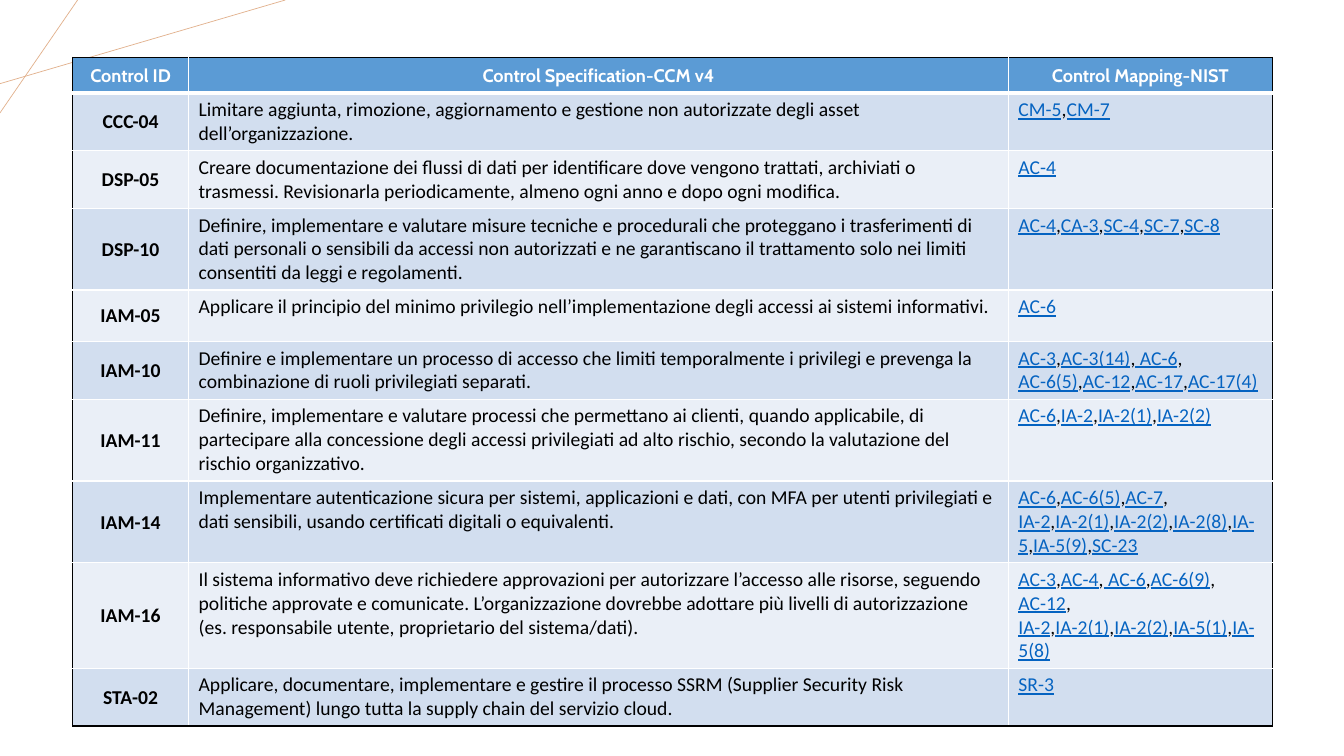
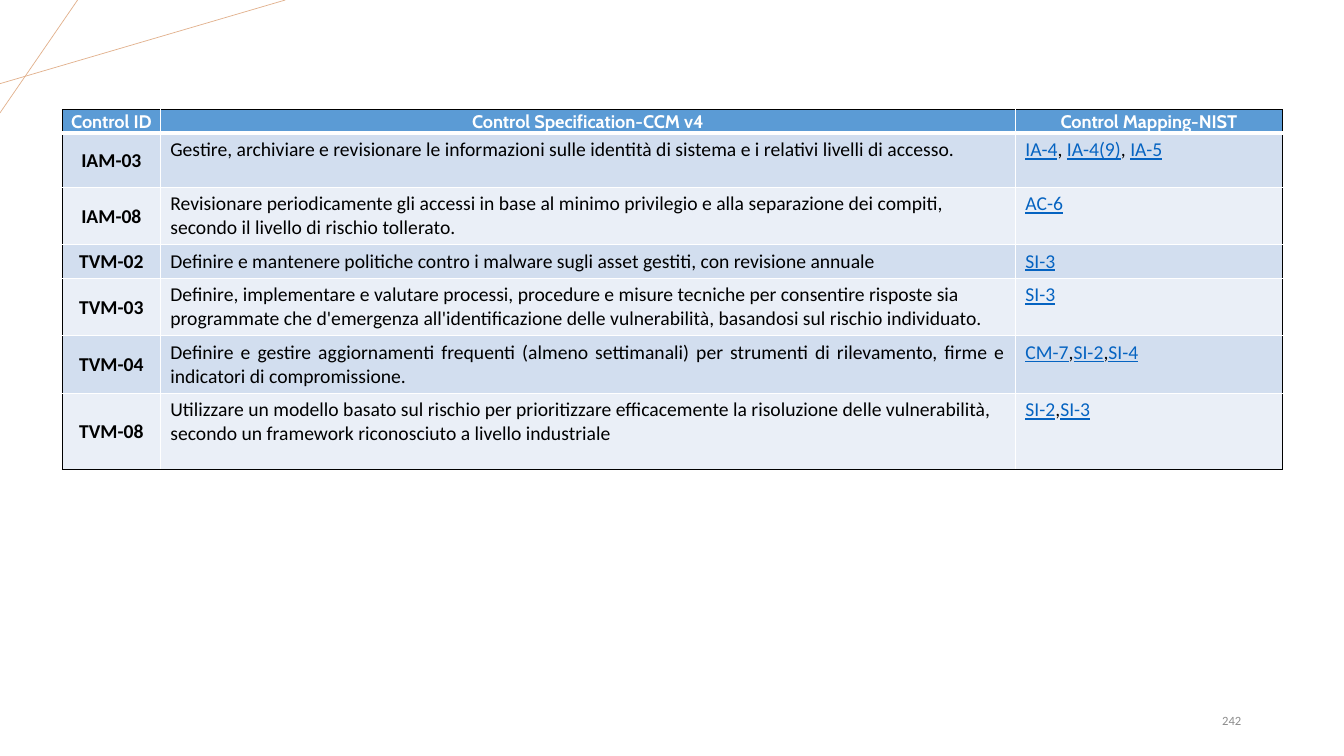
from dataclasses import dataclass
from typing import Any, Optional

from lxml import etree
from pptx import Presentation
from pptx.dml.color import RGBColor
from pptx.enum import shapes, text
from pptx.oxml import ns
from pptx.util import Inches, Pt

COLORS = {
    "header": "5B9BD5", "band_dark": "D2DEEF", "band_light": "EAEFF7",
    "white": "FFFFFF", "black": "000000", "link": "0563C1",
    "accent": "E2B18D", "number": "8C8C8C",
}
HEADINGS = ("Control ID", "Control Specification-CCM v4", "Control Mapping-NIST")
HEADER_FONT = {"name": "Cabin", "size": Pt(13), "bold": True}
ID_FONT = {"name": "Calibri", "size": Pt(14), "bold": True}
BODY_FONT = {"name": "Calibri", "size": Pt(14), "bold": False}
LINK_FONT = BODY_FONT | {"underline": True}
NUMBER_FONT = {"name": "Calibri", "size": Pt(9)}
CENTERED_CELL = {
    "vertical_anchor": text.MSO_ANCHOR.MIDDLE, "margin_left": Inches(0.01),
    "margin_right": Inches(0.01), "margin_top": Inches(0.01), "margin_bottom": 0,
}
ACCENT_LINES = ((0, 0.83, 2.83, 0), (0.77, 0, 0, 1.12))


@dataclass
class Control:
    """A control row; in mapping, an underscore marks a space inside a link."""

    code: str
    specification: str
    mapping: str
    height: float
    justified: bool = False


@dataclass
class ControlPage:
    """Position, column widths and rows of one slide's table."""

    left: float
    top: float
    widths: tuple[float, ...]
    header_height: float
    controls: list[Control]
    number: Optional[str] = None


PAGES = [
    ControlPage(0.72, 0.57, (1.15, 8.13, 2.62), 0.35, [
        Control("CCC-04", "Limitare aggiunta, rimozione, aggiornamento e gestione non autorizzate "
                "degli asset dell’organizzazione.", "CM-5,CM-7", 0.57),
        Control("DSP-05", "Creare documentazione dei flussi di dati per identificare dove vengono "
                "trattati, archiviati o trasmessi. Revisionarla periodicamente, almeno ogni anno "
                "e dopo ogni modifica.", "AC-4", 0.57),
        Control("DSP-10", "Definire, implementare e valutare misure tecniche e procedurali che "
                "proteggano i trasferimenti di dati personali o sensibili da accessi non "
                "autorizzati e ne garantiscano il trattamento solo nei limiti consentiti da leggi "
                "e regolamenti.", "AC-4,CA-3,SC-4,SC-7,SC-8", 0.81),
        Control("IAM-05", "Applicare il principio del minimo privilegio nell’implementazione degli "
                "accessi ai sistemi informativi.", "AC-6", 0.51),
        Control("IAM-10", "Definire e implementare un processo di accesso che limiti temporalmente "
                "i privilegi e prevenga la combinazione di ruoli privilegiati separati.",
                "AC-3,AC-3(14),_AC-6, AC-6(5),AC-12,AC-17,AC-17(4)", 0.57),
        Control("IAM-11", "Definire, implementare e valutare processi che permettano ai clienti, "
                "quando applicabile, di partecipare alla concessione degli accessi privilegiati "
                "ad alto rischio, secondo la valutazione del rischio organizzativo.",
                "AC-6,IA-2,IA-2(1),IA-2(2)", 0.81),
        Control("IAM-14", "Implementare autenticazione sicura per sistemi, applicazioni e dati, "
                "con MFA per utenti privilegiati e dati sensibili, usando certificati digitali o "
                "equivalenti.",
                "AC-6,AC-6(5),AC-7,_IA-2,IA-2(1),IA-2(2),IA-2(8),IA-5,IA-5(9),SC-23", 0.81),
        Control("IAM-16", "Il sistema informativo deve richiedere approvazioni per autorizzare "
                "l’accesso alle risorse, seguendo politiche approvate e comunicate. "
                "L’organizzazione dovrebbe adottare più livelli di autorizzazione "
                "(es. responsabile utente, proprietario del sistema/dati).",
                "AC-3,AC-4,_AC-6,AC-6(9),_AC-12,_IA-2,IA-2(1),IA-2(2),IA-5(1),IA-5(8)", 1.04),
        Control("STA-02", "Applicare, documentare, implementare e gestire il processo SSRM "
                "(Supplier Security Risk Management) lungo tutta la supply chain del servizio "
                "cloud.", "SR-3", 0.57),
    ]),
    ControlPage(0.62, 1.09, (0.97, 8.48, 2.65), 0.22, [
        Control("IAM-03", "Gestire, archiviare e revisionare le informazioni sulle identità di "
                "sistema e i relativi livelli di accesso.", "IA-4, IA-4(9), IA-5", 0.54),
        Control("IAM-08", "Revisionare periodicamente gli accessi in base al minimo privilegio e "
                "alla separazione dei compiti, secondo il livello di rischio tollerato.",
                "AC-6", 0.57),
        Control("TVM-02", "Definire e mantenere politiche contro i malware sugli asset gestiti, "
                "con revisione annuale", "SI-3", 0.33, True),
        Control("TVM-03", "Definire, implementare e valutare processi, procedure e misure tecniche "
                "per consentire risposte sia programmate che d'emergenza all'identificazione "
                "delle vulnerabilità, basandosi sul rischio individuato.", "SI-3", 0.57),
        Control("TVM-04", "Definire e gestire aggiornamenti frequenti (almeno settimanali) per "
                "strumenti di rilevamento, firme e indicatori di compromissione.",
                "CM-7,SI-2,SI-4", 0.57, True),
        Control("TVM-08", "Utilizzare un modello basato sul rischio per prioritizzare "
                "efficacemente la risoluzione delle vulnerabilità, secondo un framework "
                "riconosciuto a livello industriale", "SI-2,SI-3", 0.76),
    ], "242"),
]


def apply_format(target: Any, values: dict[str, Any]) -> None:
    """Set every attribute listed in the format values."""
    for name, value in values.items():
        setattr(target, name, value)


def add_run(paragraph: Any, content: str, font: dict[str, Any], color: str) -> None:
    """Append a formatted run to the paragraph."""
    run = paragraph.add_run()
    run.text = content
    apply_format(run.font, font)
    run.font.color.rgb = RGBColor.from_string(COLORS[color])


def add_links(paragraph: Any, mapping: str) -> None:
    """Write comma-separated references as link-styled runs."""
    for index, item in enumerate(mapping.split(",")):
        reference = item.lstrip(" ")
        if index:
            separator = "," + item[:len(item) - len(reference)]
            add_run(paragraph, separator, BODY_FONT, "black")
        add_run(paragraph, reference.replace("_", " "), LINK_FONT, "link")


def set_borders(cell: Any, row: int, column: int, last_row: int) -> None:
    """Draw a black outer frame, white inner lines and a thick header rule."""
    borders = (
        ("a:lnL", column == 0, 1),
        ("a:lnR", column == len(HEADINGS) - 1, 1),
        ("a:lnT", row == 0, 3 if row == 1 else 1),
        ("a:lnB", row == last_row, 3 if row == 0 else 1),
    )
    properties = cell._tc.get_or_add_tcPr()
    for position, (tag, outer, width) in enumerate(borders):
        line = etree.Element(ns.qn(tag), w=str(Pt(width)))
        fill = etree.SubElement(line, ns.qn("a:solidFill"))
        color = COLORS["black" if outer else "white"]
        etree.SubElement(fill, ns.qn("a:srgbClr"), val=color)
        properties.insert(position, line)


def style_cell(cell: Any, fill: str, centered: bool) -> Any:
    """Fill the cell, center it if asked and return its paragraph."""
    cell.fill.solid()
    cell.fill.fore_color.rgb = RGBColor.from_string(COLORS[fill])
    paragraph = cell.text_frame.paragraphs[0]
    if centered:
        apply_format(cell, CENTERED_CELL)
        paragraph.alignment = text.PP_ALIGN.CENTER
    return paragraph


def add_control_table(slide: Any, page: ControlPage) -> None:
    """Build the table of controls."""
    heights = [page.header_height] + [control.height for control in page.controls]
    table = slide.shapes.add_table(
        len(heights), len(HEADINGS), Inches(page.left), Inches(page.top),
        Inches(sum(page.widths)), Inches(sum(heights))).table
    table.horz_banding = False
    for column, width in zip(table.columns, page.widths):
        column.width = Inches(width)
    for row, height in zip(table.rows, heights):
        row.height = Inches(height)
    for column, heading in enumerate(HEADINGS):
        paragraph = style_cell(table.cell(0, column), "header", True)
        add_run(paragraph, heading, HEADER_FONT, "white")
    for row, control in enumerate(page.controls, 1):
        band = "band_dark" if row % 2 else "band_light"
        code, specification, mapping = (
            style_cell(table.cell(row, column), band, column == 0)
            for column in range(len(HEADINGS)))
        add_run(code, control.code, ID_FONT, "black")
        add_run(specification, control.specification, BODY_FONT, "black")
        if control.justified:
            specification.alignment = text.PP_ALIGN.JUSTIFY
        add_links(mapping, control.mapping)
    for row in range(len(heights)):
        for column in range(len(HEADINGS)):
            set_borders(table.cell(row, column), row, column, len(heights) - 1)


def add_accent_lines(slide: Any) -> None:
    """Draw the two crossing lines in the top left corner."""
    for ends in ACCENT_LINES:
        connector = slide.shapes.add_connector(
            shapes.MSO_CONNECTOR.STRAIGHT, *(Inches(value) for value in ends))
        connector.line.color.rgb = RGBColor.from_string(COLORS["accent"])
        connector.line.width = Pt(0.5)
        etree.SubElement(connector._element.spPr, ns.qn("a:effectLst"))


def add_page_number(slide: Any, number: str) -> None:
    """Write the page number at the bottom right."""
    shape = slide.shapes.add_textbox(Inches(11.86), Inches(6.95), Inches(0.55), Inches(0.4))
    frame = shape.text_frame
    apply_format(frame, {"word_wrap": True, "vertical_anchor": text.MSO_ANCHOR.MIDDLE})
    paragraph = frame.paragraphs[0]
    paragraph.alignment = text.PP_ALIGN.RIGHT
    add_run(paragraph, number, NUMBER_FONT, "number")


def main() -> None:
    """Build and save the presentation."""
    presentation = Presentation()
    apply_format(presentation, {"slide_width": Inches(13.33), "slide_height": Inches(7.5)})
    for page in PAGES:
        slide = presentation.slides.add_slide(presentation.slide_layouts[6])
        add_accent_lines(slide)
        if page.number:
            add_page_number(slide, page.number)
        add_control_table(slide, page)
    presentation.save("out.pptx")


if __name__ == "__main__":
    main()
